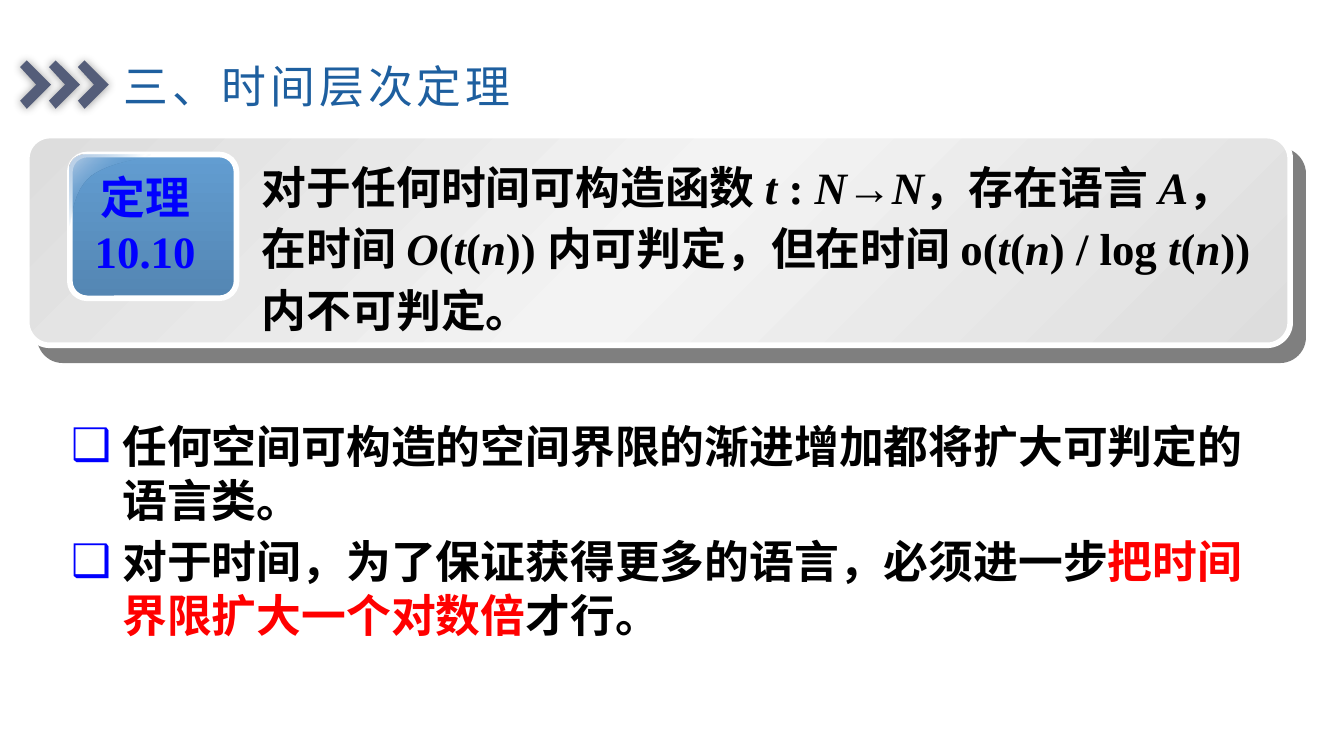
import pptx
import pptx.dml.color
import pptx.enum.shapes
import pptx.enum.text
import pptx.oxml
import pptx.oxml.ns
import pptx.util
from dataclasses import dataclass

Inches = pptx.util.Inches
Pt = pptx.util.Pt
RGB = pptx.dml.color.RGBColor.from_string
qn = pptx.oxml.ns.qn
NS = pptx.oxml.ns.nsdecls("a")
Align = pptx.enum.text.PP_ALIGN
Anchor = pptx.enum.text.MSO_ANCHOR
Fit = pptx.enum.text.MSO_AUTO_SIZE
ROUND = pptx.enum.shapes.MSO_SHAPE.ROUNDED_RECTANGLE


@dataclass(frozen=True)
class Theme:
    size: int = 24
    pitch: int = 29
    loose: int = 33
    head: str = "Noto Sans CJK SC"
    serif: str = "Times New Roman"
    title: str = "1E5F9F"
    arrow: str = "545D79"
    text: str = "000000"
    mark: str = "0000FF"
    alert: str = "FF0000"
    edge: str = "FFFFFF"
    gray: tuple = ((0, "DDDDDD", 100), (50, "F3F3F3", 100), (100, "DDDDDD", 100))
    blue: tuple = ((0, "629DD1", 100), (100, "5486B3", 100))
    gloss: tuple = ((0, "BFD1E7", 100), (50, "629DD1", 0), (100, "BFD1E7", 100))


theme = Theme()


def write(para, text, color, latin=theme.serif, bold=True, italic=False):
    """Add one run with its Latin and East Asian fonts."""
    run = para.add_run()
    run.text = text
    font = run.font
    font.size = Pt(theme.size)
    font.name = latin
    font.bold = bold
    font.italic = italic
    font.color.rgb = RGB(color)
    east = pptx.oxml.parse_xml(f'<a:ea {NS} typeface="{theme.head}"/>')
    font._element.find(qn("a:latin")).addnext(east)
    return run


def blend(shape, stops, angle):
    """Fill with a gradient of (position, colour, opacity) stops, clockwise angle."""
    shape.fill.gradient()
    shape.fill.gradient_angle = 360 - angle
    ramp = shape._element.spPr.find(qn("a:gradFill")).find(qn("a:gsLst"))
    for stop in list(ramp):
        ramp.remove(stop)
    for pos, color, alpha in stops:
        ramp.append(pptx.oxml.parse_xml(
            f'<a:gs {NS} pos="{pos * 1000}"><a:srgbClr val="{color}">'
            f'<a:alpha val="{alpha * 1000}"/></a:srgbClr></a:gs>'))


# A 16:9 slide
deck = pptx.Presentation()
deck.slide_width = Inches(10)
deck.slide_height = Inches(10 * 9 / 16)
slide = deck.slides.add_slide(deck.slide_layouts[1])
shapes = slide.shapes

# Title
title = shapes.title
title.left, title.top = Inches(0.81), Inches(0.4)
title.width, title.height = Inches(3.1), Inches(0.48)
frame = title.text_frame
frame.word_wrap = False
frame.auto_size = Fit.NONE
frame.vertical_anchor = Anchor.MIDDLE
frame.margin_left = frame.margin_right = Inches(0.07)
frame.margin_top = frame.margin_bottom = Inches(0.04)
para = frame.paragraphs[0]
para.alignment = Align.CENTER
run = write(para, "三、时间层次定理", theme.title, theme.head, bold=False)
run.font._element.set("spc", "220")

# Chevrons beside the title; casts holds (shape, opacity, blur, distance, angle)
casts = []
for n in range(3):
    x = 0.15 + n * 0.215
    pen = shapes.build_freeform(Inches(x), Inches(0.5), scale=1.0)
    tips = [(0.05, 0.45), (0.23, 0.63), (0.05, 0.81), (0, 0.75), (0.12, 0.63)]
    pen.add_line_segments([(Inches(x + dx), Inches(y)) for dx, y in tips])
    arrow = pen.convert_to_shape()
    arrow.fill.solid()
    arrow.fill.fore_color.rgb = RGB(theme.arrow)
    arrow.line.fill.background()
    casts.append((arrow, 40, 5, 0, 0))

# Theorem card and its badge
plates = [
    ((0.2, 1.01, 9.4, 1.56), 0.11, theme.gray, 45),
    ((0.52, 1.15, 1.24, 1.07), 0.12, theme.blue, 90),
]
for box, bend, stops, angle in plates:
    plate = shapes.add_shape(ROUND, *map(Inches, box))
    plate.adjustments[0] = bend
    blend(plate, stops, angle)
    plate.line.color.rgb = RGB(theme.edge)
    plate.line.width = Pt(3)
    plate.shadow.inherit = False
    if stops == theme.gray:
        casts.append((plate, 50, 0, 10.6, 49))

# Gloss on the badge corner, its curves drawn in short steps
curves = [
    [(0.64, 1.15), (0.57, 1.15), (0.52, 1.2), (0.52, 1.26)],
    [(0.52, 1.68), (0.54, 1.68), (0.53, 1.43), (0.68, 1.31)],
    [(0.68, 1.31), (0.84, 1.19), (1.13, 1.18), (1.12, 1.15)],
]
dots = []
for a, b, c, d in curves:
    for step in range(13):
        t = step / 12
        u = 1 - t
        dots.append([
            Inches(u**3 * a[k] + 3 * u * u * t * b[k] + 3 * u * t * t * c[k] + t**3 * d[k])
            for k in (0, 1)])
pen = shapes.build_freeform(*dots[0], scale=1.0)
pen.add_line_segments(dots[1:])
gloss = pen.convert_to_shape()
blend(gloss, theme.gloss, 45)
gloss.line.fill.background()
gloss.shadow.inherit = False

for shape, alpha, blur, dist, angle in casts:
    shape.shadow.inherit = False
    shape._element.spPr.find(qn("a:effectLst")).append(pptx.oxml.parse_xml(
        f'<a:outerShdw {NS} blurRad="{Pt(blur)}" dist="{Pt(dist)}" dir="{angle * 60000}" '
        f'algn="ctr" rotWithShape="0"><a:srgbClr val="{theme.text}">'
        f'<a:alpha val="{alpha * 1000}"/></a:srgbClr></a:outerShdw>'))

# Badge label
label = shapes.add_textbox(Inches(0.48), Inches(1.21), Inches(1.2), Inches(0.82))
frame = label.text_frame
frame.word_wrap = True
for n, text in enumerate(["定理", "10.10"]):
    para = frame.add_paragraph() if n else frame.paragraphs[0]
    para.alignment = Align.CENTER
    para.line_spacing = Pt(theme.pitch)
    write(para, text, theme.mark)

# Theorem statement: every second piece is italic
claim = shapes.add_textbox(Inches(1.85), Inches(1.08), Inches(7.72), Inches(1.33))
frame = claim.text_frame
frame.word_wrap = True
para = frame.paragraphs[0]
para.line_spacing = Pt(theme.loose)
parts = ["对于任何时间可构造函数 ", "t ", ": ", "N", "→", "N", "，存在语言 ", "A",
         "，在时间 ", "O", "(", "t", "(", "n", ")) 内可判定，但在时间 o(", "t", "(", "n",
         ") / log ", "t", "(", "n", ")) 内不可判定。"]
for n, text in enumerate(parts):
    write(para, text, theme.text, italic=n % 2 == 1)

# Remarks
body = slide.placeholders[1]
body.left, body.top = Inches(0.43), Inches(3.06)
body.width, body.height = Inches(9.15), Inches(2.28)
frame = body.text_frame
frame.auto_size = Fit.NONE
notes = [
    [("任何空间可构造的空间界限的渐进增加都将扩大可判定的语言类。", theme.text)],
    [("对于时间，为了保证获得更多的语言，必须进一步", theme.text),
     ("把时间界限扩大一个对数倍", theme.alert),
     ("才行。", theme.text)],
]
for n, note in enumerate(notes):
    para = frame.add_paragraph() if n else frame.paragraphs[0]
    props = para._p.get_or_add_pPr()
    props.set("marL", str(Inches(0.38)))
    props.set("indent", str(-Inches(0.38)))
    props.append(pptx.oxml.parse_xml(
        f'<a:buClr {NS}><a:srgbClr val="{theme.mark}"/></a:buClr>'))
    props.append(pptx.oxml.parse_xml(f'<a:buChar {NS} char="❑"/>'))
    para.line_spacing = Pt(theme.pitch)
    para.space_before = Pt(4 if n else 0)
    for text, color in note:
        write(para, text, color)

deck.save("out.pptx")
